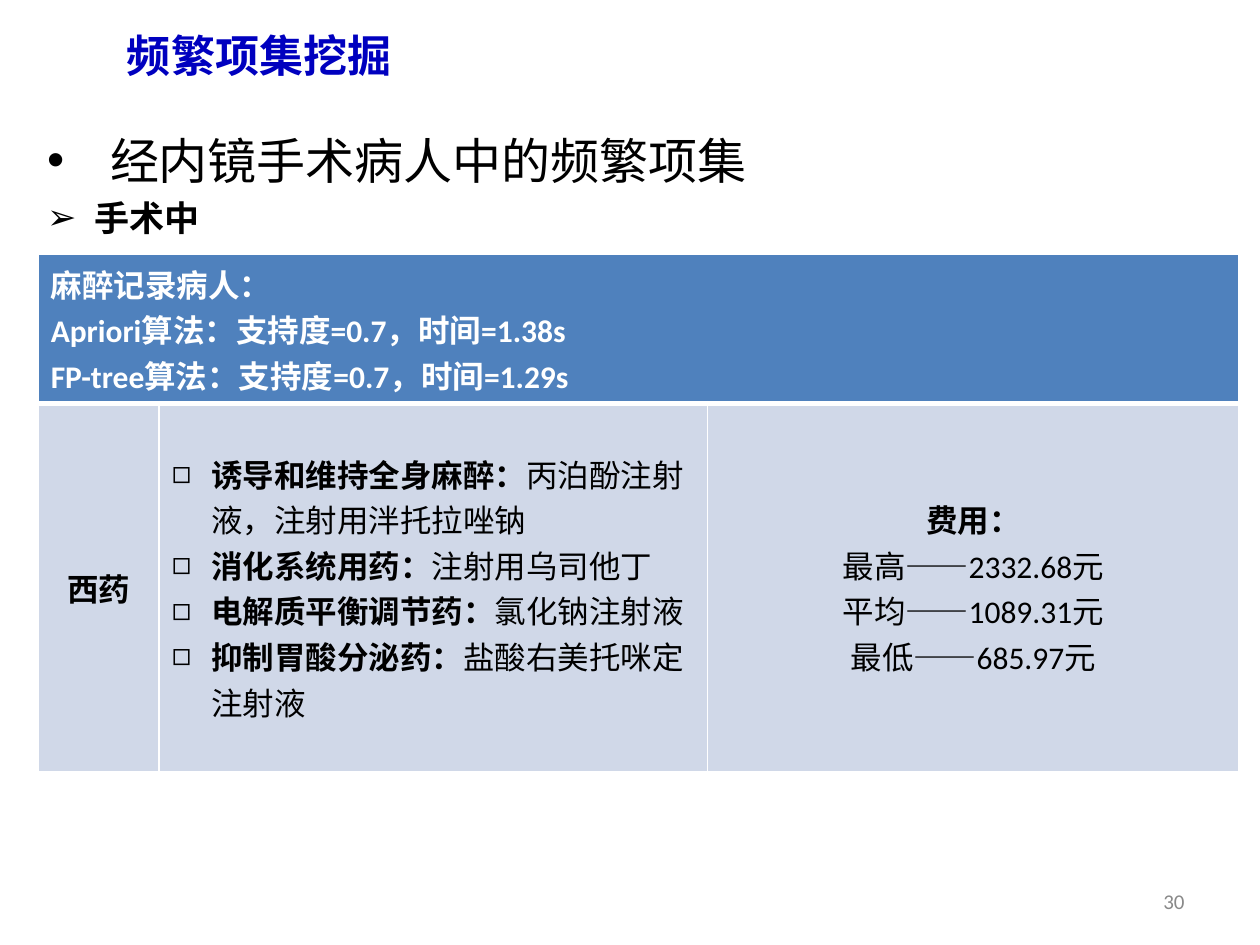
import pptx
import pptx.util
import pptx.dml.color
import pptx.enum.text
import pptx.oxml
import pptx.oxml.ns

Cm = pptx.util.Cm
Pt = pptx.util.Pt
ALIGN = pptx.enum.text.PP_ALIGN
MIDDLE = pptx.enum.text.MSO_ANCHOR.MIDDLE
SANS = "Noto Sans CJK SC"
WHITE, BLACK, PALE = "FFFFFF", "000000", "D0D8E8"


def color(code):
    return pptx.dml.color.RGBColor.from_string(code)


def add_xml(parent, tag, body="", **attrs):
    pairs = " ".join(f'{key}="{val}"' for key, val in attrs.items())
    space = pptx.oxml.ns.nsdecls("a")
    parent.append(pptx.oxml.parse_xml(f"<a:{tag} {space} {pairs}>{body}</a:{tag}>"))


def set_bullet(para, mark, indent):
    props = para._p.get_or_add_pPr()
    props.set("marL", str(indent))
    props.set("indent", str(-indent))
    add_xml(props, "buFont", typeface="Arial")
    add_xml(props, "buChar", char=mark)


def style(para, size, code, bold=None, face="Calibri", asian=SANS, align=None):
    font = para.font
    font.size, font.bold, font.name = Pt(size), bold, face
    font.color.rgb = color(code)
    add_xml(font._element, "ea", typeface=asian)
    if align is not None:
        para.alignment = align


def add_box(slide, left, top, width, height, anchor=None):
    frame = slide.shapes.add_textbox(Cm(left), Cm(top), Cm(width), Cm(height)).text_frame
    frame.word_wrap = True
    if anchor is not None:
        frame.vertical_anchor = anchor
    return frame


def next_para(frame, first):
    return frame.paragraphs[0] if first else frame.add_paragraph()


def fill_cell(cell, lines, code, align=ALIGN.LEFT, mark=None):
    """Each line is a list of (text, bold) runs."""
    cell.vertical_anchor = MIDDLE
    for row, runs in enumerate(lines):
        para = next_para(cell.text_frame, row == 0)
        if mark:
            set_bullet(para, mark, Cm(0.79))
        same = len({bold for _, bold in runs}) == 1
        style(para, 18, code, runs[0][1] if same else None, align=align)
        for text, bold in runs:
            run = para.add_run()
            run.text = text
            if not same:
                run.font.bold = bold


def paint_cell(cell, code, thick):
    """White borders, with a heavier line on the side named by thick."""
    props = cell._tc.get_or_add_tcPr()
    line = f'<a:solidFill><a:srgbClr val="{WHITE}"/></a:solidFill>'
    for side in "LRTB":
        add_xml(props, "ln" + side, line, w=Pt(3 if side == thick else 1))
    cell.fill.solid()
    cell.fill.fore_color.rgb = color(code)


def add_title(slide):
    para = add_box(slide, 2.31, 0, 22.86, 2.21, MIDDLE).paragraphs[0]
    para.text = "频繁项集挖掘"
    style(para, 25.2, "0000BF", True, SANS)


def add_points(slide):
    points = [
        ("经内镜手术病人中的频繁项集", "•", 1.27, 28, False, "Noto Sans CJK JP", "Noto Sans CJK JP"),
        ("手术中", "➢", 0.95, 20, True, "Arial", SANS),
    ]
    frame = add_box(slide, 0.7, 2.5, 23.44, 14.5)
    for row, (text, mark, indent, size, bold, face, asian) in enumerate(points):
        para = next_para(frame, row == 0)
        para.text = text
        if row:
            para.space_before = Pt(4)
        set_bullet(para, mark, Cm(indent))
        style(para, size, BLACK, bold, face, asian)


def add_grid(slide):
    widths, heights = [2.44, 10.72, 0.33, 10.72], [3, 7.42]
    grid = slide.shapes.add_table(2, 4, Cm(0.77), Cm(5.13),
                                  Cm(sum(widths)), Cm(sum(heights))).table
    for col, width in zip(grid.columns, widths):
        col.width = Cm(width)
    for row, height in zip(grid.rows, heights):
        row.height = Cm(height)
    for row, (code, thick) in enumerate([("4F81BD", "B"), (PALE, "T")]):
        for cell in grid.rows[row].cells:
            paint_cell(cell, code, thick)
    grid.cell(0, 0).merge(grid.cell(0, 3))
    grid.cell(1, 1).merge(grid.cell(1, 2))

    # Header
    heads = ["麻醉记录病人：",
             "Apriori算法：支持度=0.7，时间=1.38s",
             "FP-tree算法：支持度=0.7，时间=1.29s"]
    fill_cell(grid.cell(0, 0), [[(text, True)] for text in heads], WHITE)

    # Drugs
    drugs = [("诱导和维持全身麻醉：", "丙泊酚注射液，注射用泮托拉唑钠"),
             ("消化系统用药：", "注射用乌司他丁"),
             ("电解质平衡调节药：", "氯化钠注射液"),
             ("抑制胃酸分泌药：", "盐酸右美托咪定注射液")]
    fill_cell(grid.cell(1, 0), [[("西药", True)]], BLACK, ALIGN.CENTER)
    fill_cell(grid.cell(1, 1), [[(kind, True), (name, False)] for kind, name in drugs],
              BLACK, mark="◻")

    # Costs
    costs = [("最高", "2332.68"), ("平均", "1089.31"), ("最低", "685.97")]
    lines = [[("费用：", True)]] + [[(f"{name}——{cost}元", False)] for name, cost in costs]
    fill_cell(grid.cell(1, 3), lines, BLACK, ALIGN.CENTER)


def add_number(slide):
    para = add_box(slide, 18.21, 17.65, 5.92, 1.02, MIDDLE).paragraphs[0]
    para.text = "30"
    style(para, 12, "898989", align=ALIGN.RIGHT)


def main():
    deck = pptx.Presentation()
    deck.slide_width, deck.slide_height = Cm(25.4), Cm(19.05)
    slide = deck.slides.add_slide(deck.slide_layouts[6])
    add_title(slide)
    add_points(slide)
    add_grid(slide)
    add_number(slide)
    deck.save("out.pptx")


if __name__ == "__main__":
    main()
